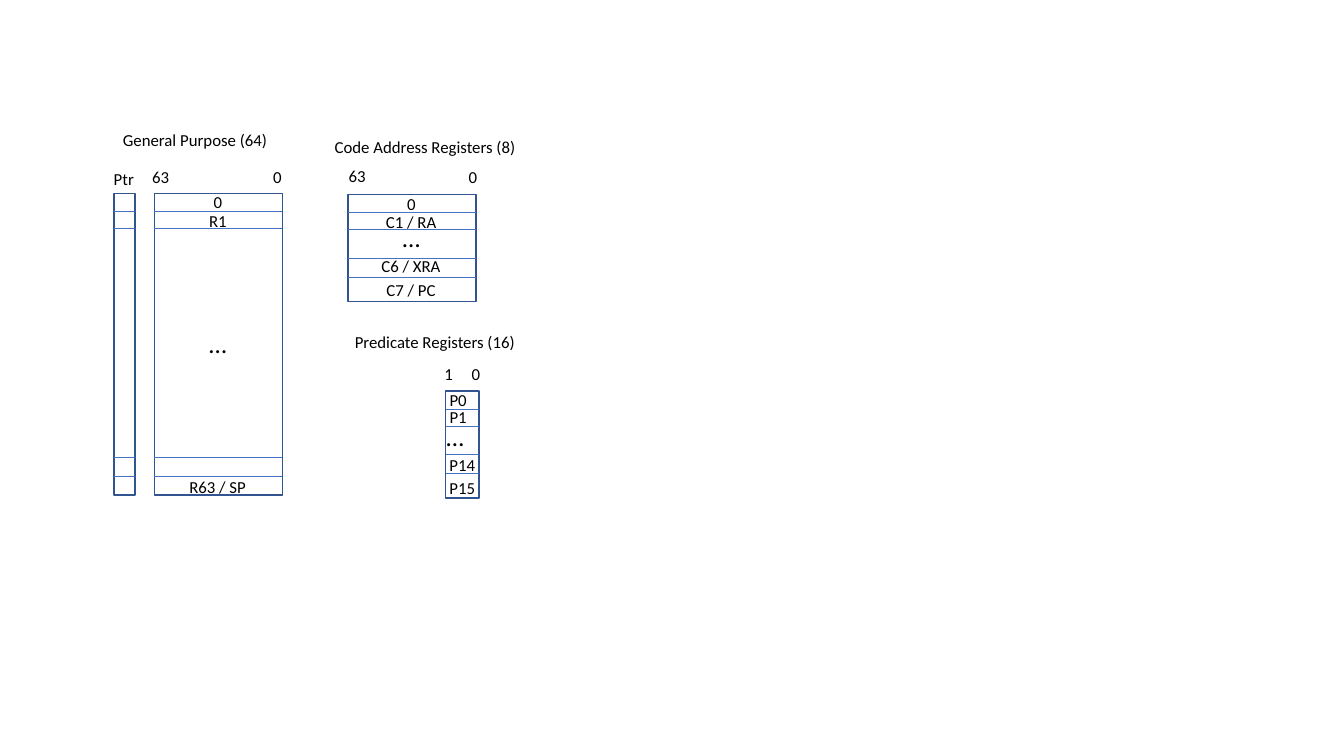
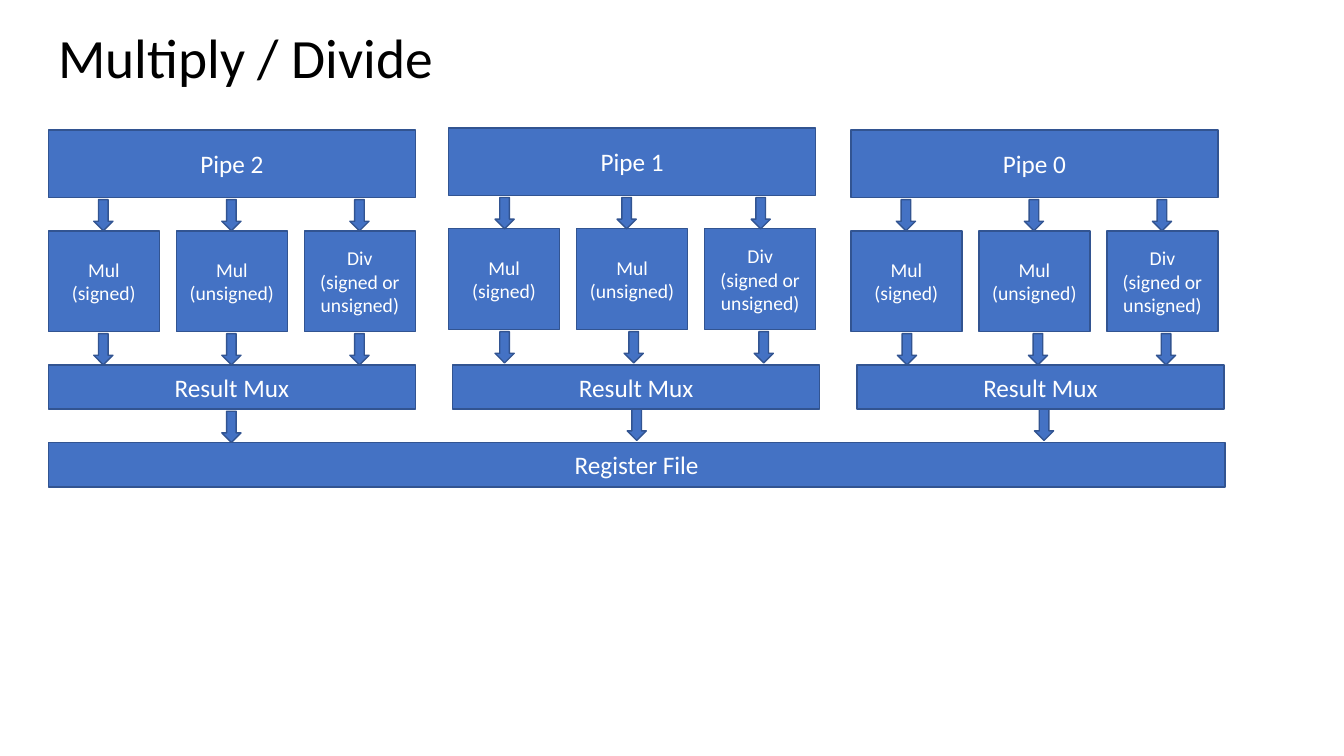
from dataclasses import dataclass

from lxml import etree
from pptx import Presentation
from pptx.dml.color import RGBColor
from pptx.enum.shapes import MSO_CONNECTOR as CONN, MSO_SHAPE as SHAPE
from pptx.enum.text import MSO_ANCHOR as ANCHOR, MSO_AUTO_SIZE as AUTO, PP_ALIGN as ALIGN
from pptx.oxml.ns import qn
from pptx.util import Inches, Pt


@dataclass(frozen=True)
class Theme:
    font: str = "Calibri"
    blue: RGBColor = RGBColor.from_string("4472C4")
    edge: RGBColor = RGBColor.from_string("325491")
    black: RGBColor = RGBColor.from_string("000000")
    white: RGBColor = RGBColor.from_string("FFFFFF")
    title: float = 39.6
    large: float = 18
    medium: float = 14
    small: float = 12
    edge_width: float = 1
    rule_width: float = 0.5


class Deck:
    """Holds the style and the current slide."""

    def __init__(self, theme):
        self.theme = theme
        self.prs = Presentation()
        self.prs.slide_width, self.prs.slide_height = Inches(13.33), Inches(7.5)
        self.slide = None

    def new_slide(self):
        self.slide = self.prs.slides.add_slide(self.prs.slide_layouts[6])

    def set_text(self, tf, text, size, color, align):
        tf.text = text
        for p in tf.paragraphs:
            p.alignment = align
            for r in p.runs:
                r.font.name, r.font.size = self.theme.font, Pt(size)
                r.font.color.rgb = color

    def title(self, text):
        box = self.slide.shapes.add_textbox(Inches(0.48), Inches(0.34), Inches(11.5), Inches(0.53))
        tf = box.text_frame
        tf.word_wrap = True
        tf.vertical_anchor = ANCHOR.MIDDLE
        self.set_text(tf, text, self.theme.title, self.theme.black, ALIGN.LEFT)
        tf.paragraphs[0].line_spacing = 0.9

    def label(self, text, left, top, width, size=None):
        size = size or self.theme.small
        height = 0.4 if size == self.theme.large else 0.3
        box = self.slide.shapes.add_textbox(Inches(left), Inches(top), Inches(width), Inches(height))
        tf = box.text_frame
        tf.word_wrap = False
        tf.auto_size = AUTO.SHAPE_TO_FIT_TEXT
        self.set_text(tf, text, size, self.theme.black, ALIGN.LEFT)

    def shape(self, kind, left, top, width, height, fill=True):
        sp = self.slide.shapes.add_shape(kind, Inches(left), Inches(top), Inches(width), Inches(height))
        sp.shadow.inherit = False
        if fill:
            sp.fill.solid()
            sp.fill.fore_color.rgb = self.theme.blue
        else:
            sp.fill.background()
        sp.line.color.rgb = self.theme.edge
        sp.line.width = Pt(self.theme.edge_width)
        return sp

    def block(self, text, left, top, width, height, size=None):
        tf = self.shape(SHAPE.RECTANGLE, left, top, width, height).text_frame
        tf.word_wrap = True
        tf.vertical_anchor = ANCHOR.MIDDLE
        self.set_text(tf, text, size or self.theme.large, self.theme.white, ALIGN.CENTER)

    def down_arrow(self, left, top):
        self.shape(SHAPE.DOWN_ARROW, left, top, 0.19, 0.31)

    def rule(self, left, right, y):
        line = self.slide.shapes.add_connector(
            CONN.STRAIGHT, Inches(left), Inches(y), Inches(right), Inches(y))
        line.line.color.rgb = self.theme.blue
        line.line.width = Pt(self.theme.rule_width)
        etree.SubElement(line._element.spPr, qn("a:effectLst"))

    def register_bank(self, left, top, width, height, rules, rows=()):
        """Outlined column with row rules and centred (text, top, width) names."""
        self.shape(SHAPE.RECTANGLE, left, top, width, height, fill=False)
        for offset in rules:
            self.rule(left, left + width, top + offset)
        for text, y, w in rows:
            size = self.theme.large if text == "…" else self.theme.small
            self.label(text, left + (width - w) / 2, y, w, size)


def registers_slide(deck):
    deck.new_slide()
    tall_rules = (0.18, 0.35, 2.62, 2.81)
    short_rules = (0.18, 0.35, 0.63, 0.82)

    # Register banks
    deck.register_bank(1.13, 1.92, 0.21, 2.99, tall_rules)
    deck.register_bank(1.53, 1.92, 1.27, 2.99, tall_rules, [
        ("0", 1.85, 0.29), ("R1", 2.04, 0.38), ("…", 3.21, 0.38), ("R63 / SP", 4.68, 0.77)])
    deck.register_bank(3.45, 1.93, 1.27, 1.06, short_rules, [
        ("0", 1.87, 0.29), ("C1 / RA", 2.05, 0.71), ("…", 2.16, 0.38),
        ("C6 / XRA", 2.49, 0.8), ("C7 / PC", 2.73, 0.7)])
    deck.register_bank(4.42, 3.88, 0.33, 1.06, short_rules)

    # Predicate names, set from the left
    for text, top, width in (("P0", 3.82, 0.38), ("P1", 3.99, 0.38),
                             ("P14", 4.46, 0.46), ("P15", 4.69, 0.46)):
        deck.label(text, 4.36, top, width)
    deck.label("…", 4.33, 4.13, 0.38, deck.theme.large)

    # Headings and bit numbers
    for text, left, top, width in (
            ("General Purpose (64)", 1.12, 1.24, 1.65),
            ("Ptr", 1.03, 1.62, 0.4), ("63", 1.41, 1.61, 0.37), ("0", 2.61, 1.61, 0.29),
            ("Code Address Registers (8)", 3.22, 1.31, 2.02),
            ("63", 3.36, 1.6, 0.37), ("0", 4.55, 1.61, 0.29),
            ("Predicate Registers (16)", 3.42, 3.24, 1.81),
            ("1", 4.31, 3.56, 0.29), ("0", 4.58, 3.56, 0.29)):
        deck.label(text, left, top, width)


def multiply_slide(deck):
    deck.new_slide()
    deck.title("Multiply / Divide")
    units = ("Mul\n(signed)", "Mul\n(unsigned)", "Div\n(signed or unsigned)")
    pipe_width, unit_width = 3.64, 1.1
    step = (pipe_width - unit_width) / (len(units) - 1)

    # name, left, top, arrows in, arrows out, mux left, mux arrow
    pipes = (
        ("Pipe 2", 0.48, 1.29, (0.93, 2.2, 3.47), (0.93, 2.2, 3.47), 0.48, (2.2, 4.08)),
        ("Pipe 1", 4.45, 1.27, (4.91, 6.12, 7.45), (4.91, 6.19, 7.48), 4.49, (6.22, 4.06)),
        ("Pipe 0", 8.44, 1.29, (8.89, 10.16, 11.43), (8.9, 10.2, 11.47), 8.5, (10.26, 4.06)),
    )
    for name, left, top, arrows_in, arrows_out, mux_left, mux_arrow in pipes:
        deck.block(name, left, top, pipe_width, 0.67)
        for i, unit in enumerate(units):
            deck.block(unit, left + i * step, top + 1, unit_width, 1, deck.theme.medium)
        deck.block("Result Mux", mux_left, 3.62, pipe_width, 0.44)
        for x in arrows_in:
            deck.down_arrow(x, top + 0.69)
        for x in arrows_out:
            deck.down_arrow(x, top + 2.02)
        deck.down_arrow(*mux_arrow)

    # Shared destination
    deck.block("Register File", 0.48, 4.39, 11.67, 0.44)


def main():
    deck = Deck(Theme())
    registers_slide(deck)
    multiply_slide(deck)
    deck.prs.save("out.pptx")


if __name__ == "__main__":
    main()
